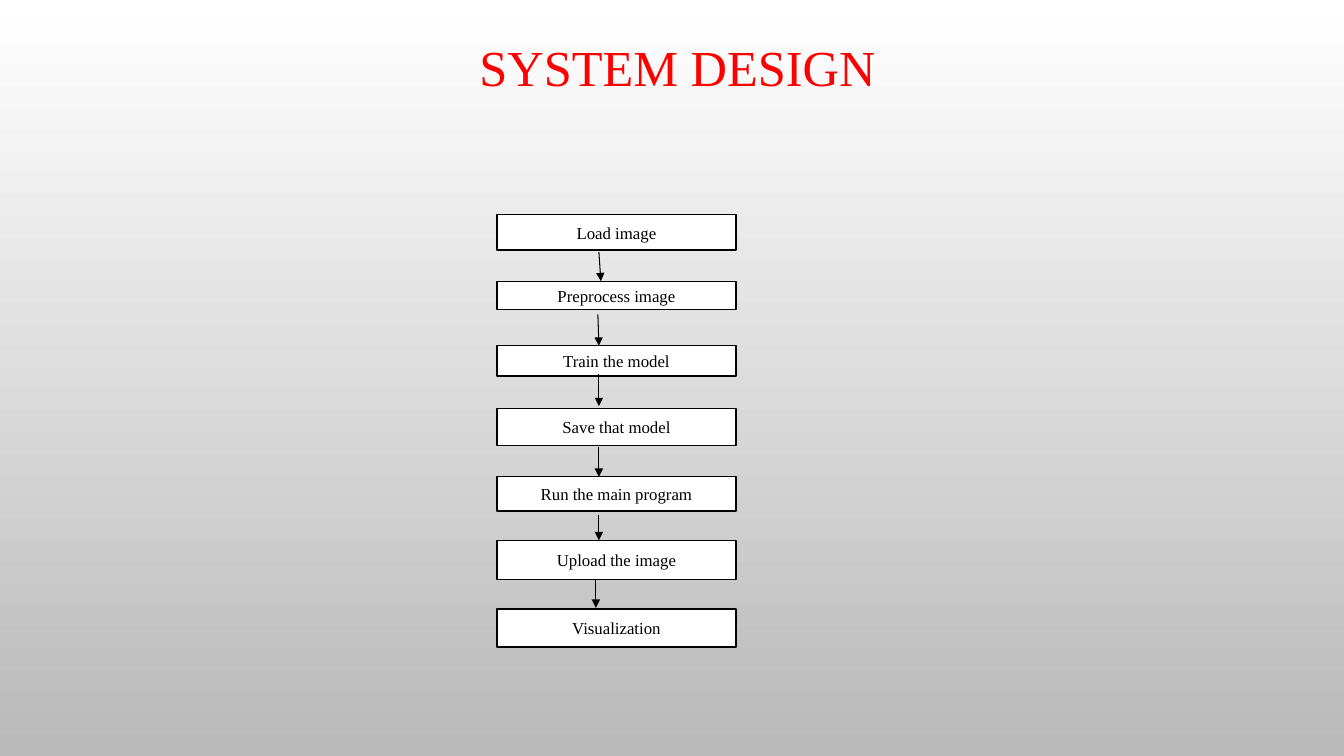
from typing import NamedTuple

from pptx import Presentation
from pptx import util as u
from pptx.dml.color import RGBColor
from pptx.enum import shapes, text
from pptx.oxml import ns, xmlchemy

FONT = "Times New Roman"
BLACK, WHITE, RED = "000000", "FFFFFF", "FF0000"
STEP_LEFT, STEP_WIDTH = 4.93, 2.37


class Step(NamedTuple):
    label: str
    top: float
    height: float


class Arrow(NamedTuple):
    x1: float
    y1: float
    x2: float
    y2: float


STEPS = [
    Step("Load image", 2.13, 0.35),
    Step("Preprocess image", 2.79, 0.28),
    Step("Train the model", 3.43, 0.3),
    Step("Save that model", 4.05, 0.37),
    Step("Run the main program", 4.73, 0.34),
    Step("Upload the image", 5.36, 0.39),
    Step("Visualization", 6.04, 0.38),
]
ARROWS = [
    Arrow(5.94, 2.5, 5.96, 2.79),
    Arrow(5.93, 3.12, 5.94, 3.43),
    Arrow(5.94, 3.71, 5.94, 4.03),
    Arrow(5.94, 4.43, 5.94, 4.73),
    Arrow(5.94, 5.11, 5.94, 5.36),
    Arrow(5.91, 5.75, 5.91, 6.03),
]


def rgb(hex_color: str) -> RGBColor:
    return RGBColor.from_string(hex_color)


def write_centered(frame, wording: str, size: float, color: str) -> None:
    frame.word_wrap = True
    frame.auto_size = text.MSO_AUTO_SIZE.NONE
    frame.vertical_anchor = text.MSO_ANCHOR.MIDDLE
    paragraph = frame.paragraphs[0]
    paragraph.alignment = text.PP_ALIGN.CENTER
    run = paragraph.add_run()
    run.text = wording
    run.font.name = FONT
    run.font.size = u.Pt(size)
    run.font.color.rgb = rgb(color)


def paint_background(slide) -> None:
    fill = slide.background.fill
    fill.gradient()
    fill.gradient_angle = 270
    for stop, color in zip(fill.gradient_stops, (WHITE, "B9B9B9")):
        stop.color.rgb = rgb(color)


def add_title(slide) -> None:
    title = slide.shapes.title
    title.left, title.top = u.Inches(1.2), u.Inches(-0.19)
    title.width, title.height = u.Inches(11.04), u.Inches(1.78)
    write_centered(title.text_frame, "SYSTEM DESIGN", 36, RED)
    title.text_frame.paragraphs[0].line_spacing = 0.9


def add_step(slide, step: Step) -> None:
    box = slide.shapes.add_shape(
        shapes.MSO_SHAPE.RECTANGLE,
        u.Inches(STEP_LEFT), u.Inches(step.top),
        u.Inches(STEP_WIDTH), u.Inches(step.height),
    )
    box.shadow.inherit = False
    box.fill.solid()
    box.fill.fore_color.rgb = rgb(WHITE)
    box.line.color.rgb = rgb(BLACK)
    box.line.width = u.Pt(1)
    write_centered(box.text_frame, step.label, 12, BLACK)


def add_arrow(slide, arrow: Arrow) -> None:
    connector = slide.shapes.add_connector(
        shapes.MSO_CONNECTOR.STRAIGHT, *(u.Inches(value) for value in arrow)
    )
    connector.line.color.rgb = rgb(BLACK)
    connector.line.width = u.Pt(0.75)
    head = xmlchemy.OxmlElement("a:tailEnd")
    head.set("type", "triangle")
    properties = connector.element.spPr
    properties.find(ns.qn("a:ln")).append(head)
    properties.append(xmlchemy.OxmlElement("a:effectLst"))


def main() -> None:
    deck = Presentation()
    deck.slide_width, deck.slide_height = u.Inches(13.33), u.Inches(7.5)
    slide = deck.slides.add_slide(deck.slide_layouts.get_by_name("Title Only"))
    paint_background(slide)
    add_title(slide)
    for step in STEPS:
        add_step(slide, step)
    for arrow in ARROWS:
        add_arrow(slide, arrow)
    deck.save("out.pptx")


if __name__ == "__main__":
    main()
